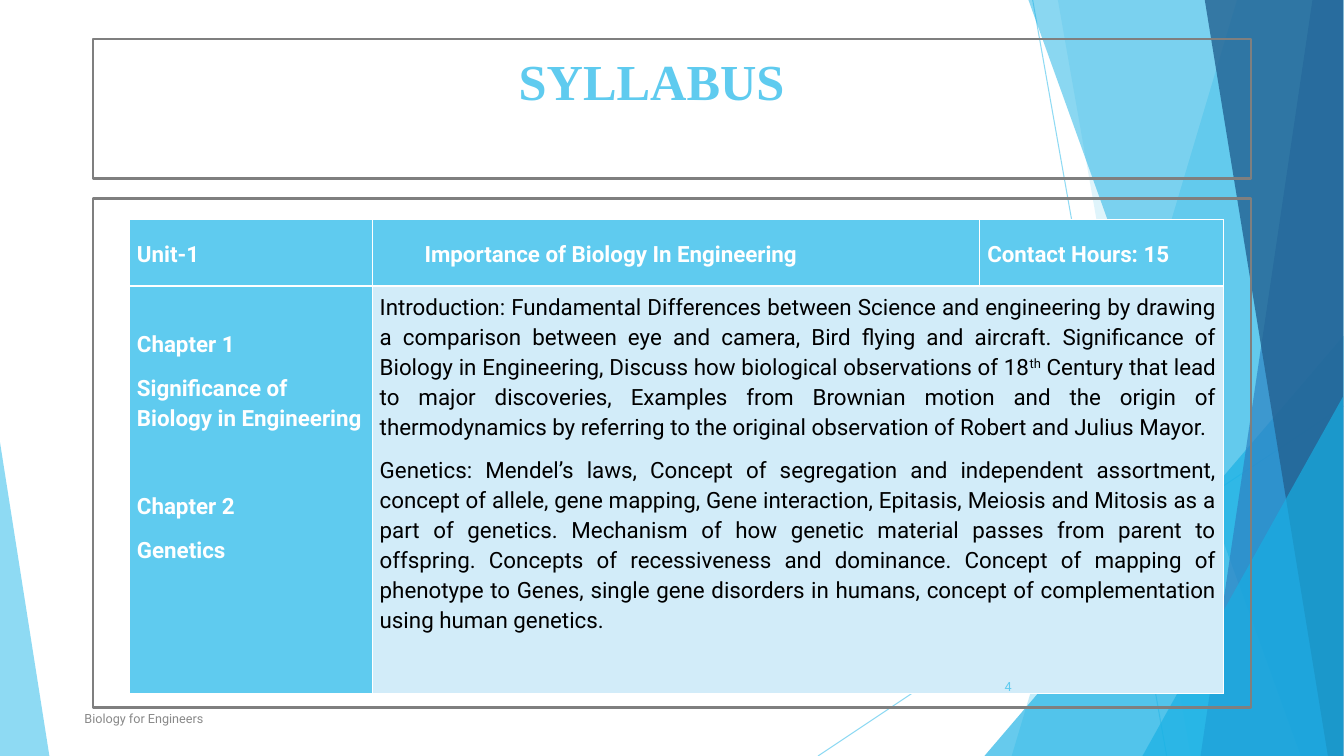
from dataclasses import dataclass

from lxml.etree import SubElement as Sub
from pptx import Presentation
from pptx.dml.color import RGBColor
from pptx.enum.shapes import MSO_CONNECTOR as Conn, MSO_SHAPE as Kind
from pptx.enum.text import MSO_ANCHOR as Anchor, PP_ALIGN as Align
from pptx.oxml.ns import qn
from pptx.util import Pt

WIDE, HIGH, EDGE = 960.5, 540, 960
SKY, AQUA, PALE, WHITE = "5FCBEF", "17B0E4", "D2ECF9", "FFFFFF"


@dataclass
class Band:
    """Panel that runs from a slanted left side to the right edge."""
    top: float
    foot: float
    color: str
    alpha: int


@dataclass
class Wedge:
    """Right triangle standing on the foot of the slide."""
    left: float
    top: float
    width: float
    tip: float
    color: str
    alpha: int


@dataclass
class Para:
    text: str
    align: Align = Align.JUSTIFY
    before: float = 0
    raised: str = ""
    rest: str = ""


@dataclass
class Box:
    row: int
    col: int
    paras: list[Para]
    fill: str = SKY
    color: str = WHITE
    bold: bool = True
    anchor: Anchor = Anchor.MIDDLE
    left: float = 5.4
    top: float = 3.6


BACK = [
    Band(884, 723, SKY, 36),
    Band(756, 851, SKY, 20),
    Wedge(703.5, 240, 256.5, 1, AQUA, 66),
    Band(735, 929.5, AQUA, 50),
    Band(938, 858, "2E83C3", 70),
    Band(861, 949, "236292", 80),
    Wedge(816.5, 283, 143.5, 1, AQUA, 66),
    Wedge(0, 316, 35.3, 0, SKY, 70),
]
RAYS = [(738, 0, 833.8, 540), (960, 290, 584.6, 540)]
FRAMES = [(66.2, 141.8, 828, 363.6), (66.2, 28.1, 828, 99.4)]

INTRO = Para(
    "Introduction: Fundamental Differences between Science and engineering by "
    "drawing a comparison between eye and camera, Bird flying and aircraft. "
    "Significance of Biology in Engineering, Discuss how biological "
    "observations of 18",
    raised="th",
    rest=" Century that lead to major discoveries, Examples from Brownian motion "
    "and the origin of thermodynamics by referring to the original observation "
    "of Robert and Julius Mayor.")
GENES = Para(
    "Genetics: Mendel’s laws, Concept of segregation and independent "
    "assortment, concept of allele, gene mapping, Gene interaction, Epitasis, "
    "Meiosis and Mitosis as a part of genetics. Mechanism of how genetic "
    "material passes from parent to offspring. Concepts of recessiveness and "
    "dominance. Concept of mapping of phenotype to Genes, single gene disorders "
    "in humans, concept of complementation using human genetics.")
CELLS = [
    Box(0, 0, [Para("Unit-1")]),
    Box(0, 1, [Para("Importance of Biology In Engineering")], left=37.5),
    Box(0, 2, [Para("Contact Hours: 15")]),
    Box(1, 0, [Para("Chapter 1"),
               Para("Significance of Biology in Engineering", Align.LEFT),
               Para("Chapter 2", before=31.5),
               Para("Genetics")], anchor=Anchor.TOP, top=30),
    Box(1, 1, [INTRO, GENES], PALE, "000000", False, Anchor.TOP),
]

deck = Presentation()
deck.slide_width, deck.slide_height = Pt(WIDE), Pt(HIGH)
slide = deck.slides.add_slide(deck.slide_layouts[6])
shapes = slide.shapes


def paint(target, color: str, alpha: int = 100) -> None:
    """Fill a shape, cell or line with one colour."""
    target.fill.solid()
    target.fill.fore_color.rgb = RGBColor.from_string(color)
    if alpha < 100:
        fade(target.fill.fore_color, alpha)


def fade(tint, alpha: int) -> None:
    Sub(tint._xFill.find(qn("a:srgbClr")), qn("a:alpha"), val=str(alpha * 1000))


def draw_ray(x1: float, y1: float, x2: float, y2: float) -> None:
    ray = shapes.add_connector(Conn.STRAIGHT, Pt(x1), Pt(y1), Pt(x2), Pt(y2))
    ray.line.width = Pt(0.75)
    paint(ray.line, SKY, 70)
    Sub(ray._element.spPr, qn("a:effectLst"))


def draw_facet(facet: Band | Wedge) -> None:
    if isinstance(facet, Band):
        form = shapes.build_freeform(Pt(facet.top), 0)
        form.add_line_segments([(Pt(EDGE), 0), (Pt(EDGE), Pt(HIGH)),
                                (Pt(facet.foot), Pt(HIGH))])
        shape = form.convert_to_shape()
    else:
        shape = shapes.add_shape(
            Kind.ISOSCELES_TRIANGLE, Pt(facet.left), Pt(facet.top),
            Pt(facet.width), Pt(HIGH - facet.top))
        shape.adjustments[0] = facet.tip
    shape.shadow.inherit = False
    shape.line.fill.background()
    paint(shape, facet.color, facet.alpha)


def draw_frame(x: float, y: float, w: float, h: float) -> None:
    frame = shapes.add_shape(Kind.RECTANGLE, Pt(x), Pt(y), Pt(w), Pt(h))
    frame.shadow.inherit = False
    frame.fill.background()
    frame.line.width = Pt(1.5)
    paint(frame.line, "7F7F7F")


def write(para, text: str, *, size: float = 16, font: str = "Roboto",
          color: str = WHITE, bold: bool = False, raised: bool = False) -> None:
    run = para.add_run()
    run.text = text
    run.font.size, run.font.name, run.font.bold = Pt(size), font, bold
    run.font.color.rgb = RGBColor.from_string(color)
    if raised:
        run.font._element.set("baseline", "30000")


def label(text: str, x: float, y: float, w: float, h: float, *,
          align: Align = Align.LEFT, anchor: Anchor = Anchor.MIDDLE,
          top: float = 3.6, right: float = 7.2, **style) -> None:
    frame = shapes.add_textbox(Pt(x), Pt(y), Pt(w), Pt(h)).text_frame
    frame.word_wrap, frame.vertical_anchor = True, anchor
    frame.margin_top, frame.margin_right = Pt(top), Pt(right)
    frame.paragraphs[0].alignment = align
    write(frame.paragraphs[0], text, **style)


def fill_cell(cell, box: Box) -> None:
    thick = "lnB" if box.row == 0 else "lnT"
    props = cell._tc.get_or_add_tcPr()
    for side in ("lnL", "lnR", "lnT", "lnB"):
        width = Pt(1.47 if side == thick else 0.45)
        edge = Sub(props, qn(f"a:{side}"), w=str(int(width)))
        Sub(Sub(edge, qn("a:solidFill")), qn("a:srgbClr"), val=WHITE)
    paint(cell, box.fill)
    cell.vertical_anchor = box.anchor
    cell.margin_left, cell.margin_right = Pt(box.left), Pt(5.4)
    cell.margin_top, cell.margin_bottom = Pt(box.top), Pt(3.6)
    for i, item in enumerate(box.paras):
        frame = cell.text_frame
        para = frame.add_paragraph() if i else frame.paragraphs[0]
        para.alignment, para.line_spacing = item.align, 1.15
        para.space_before, para.space_after = Pt(item.before), Pt(10)
        for text in (item.text, item.raised, item.rest):
            if text:
                write(para, text, color=box.color, bold=box.bold,
                      raised=text == item.raised)


# Background
for ends in RAYS:
    draw_ray(*ends)
for facet in BACK:
    draw_facet(facet)

# Title
label("SYLLABUS", 66.2, 28.1, 828, 100.8, align=Align.CENTER,
      anchor=Anchor.TOP, top=7.5, right=36, size=36,
      font="Times New Roman", color=SKY, bold=True)

# Syllabus table
table = shapes.add_table(2, 3, Pt(92.5), Pt(156.6), Pt(782), Pt(338.4)).table
table.horz_banding = False
for col, width in zip(table.columns, (173.5, 434.2, 174.3)):
    col.width = Pt(width)
for row, height in zip(table.rows, (47.5, 290.9)):
    row.height = Pt(height)
table.cell(1, 1).merge(table.cell(1, 2))
for box in CELLS:
    fill_cell(table.cell(box.row, box.col), box)

# Page number, frames and footer
label("4", 676.1, 475.9, 54, 28.8, align=Align.RIGHT, size=9, color=SKY)
for place in FRAMES:
    draw_frame(*place)
label("Biology for Engineers", 53.3, 499, 496, 28.8, size=9, color="898989")

deck.save("out.pptx")
